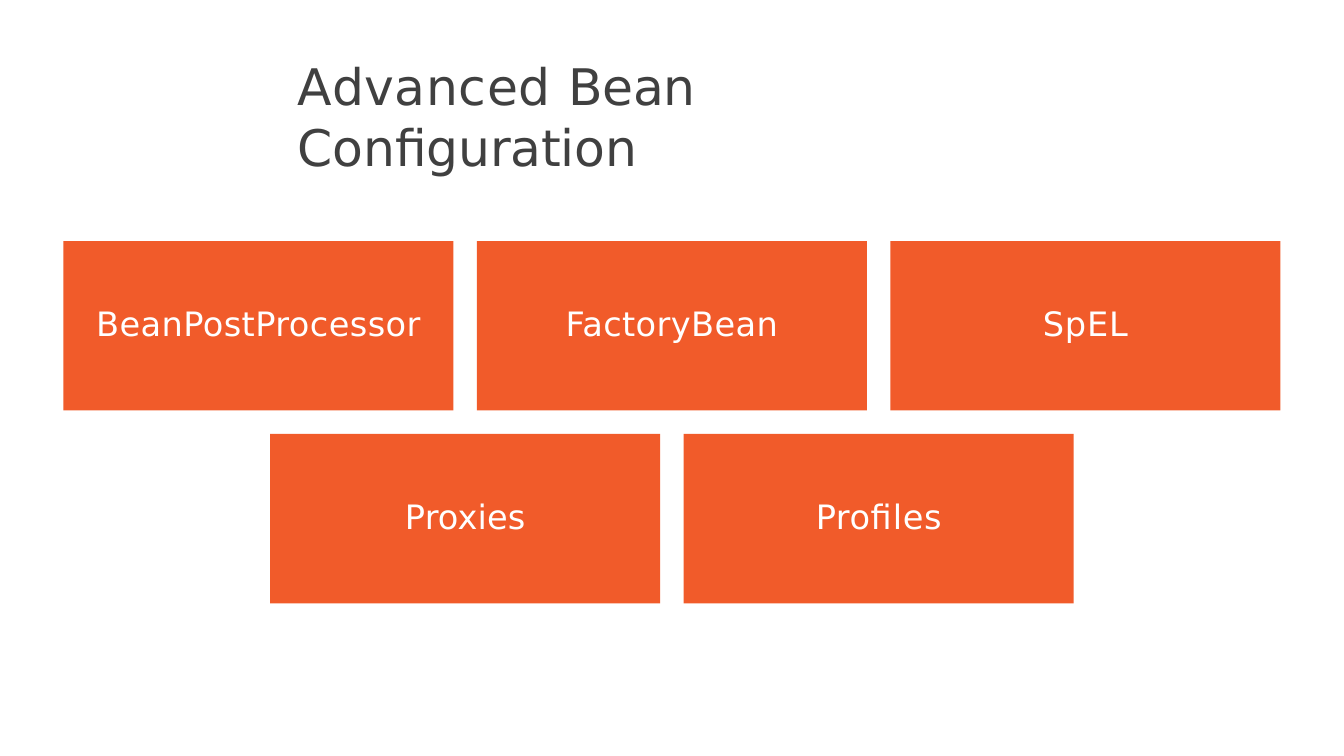
from dataclasses import dataclass

from pptx import Presentation
from pptx.dml.color import RGBColor
from pptx.enum.shapes import MSO_SHAPE
from pptx.enum.text import MSO_ANCHOR, MSO_AUTO_SIZE, PP_ALIGN
from pptx.util import Inches, Pt

RECTANGLE = MSO_SHAPE.RECTANGLE
TOP, MIDDLE = MSO_ANCHOR.TOP, MSO_ANCHOR.MIDDLE
LEFT, CENTER = PP_ALIGN.LEFT, PP_ALIGN.CENTER
NO_FIT = MSO_AUTO_SIZE.NONE
TITLE_ONLY = 5


@dataclass(frozen=True)
class Theme:
    font: str = "DejaVu Sans"
    title_size: int = 48
    topic_size: int = 32
    title_color: RGBColor = RGBColor(0x40, 0x40, 0x40)
    topic_color: RGBColor = RGBColor(0xFF, 0xFF, 0xFF)
    tile_color: RGBColor = RGBColor(0xF1, 0x5B, 0x2A)


THEME = Theme()
SLIDE_WIDTH, SLIDE_HEIGHT = 17.78, 10
TILE_WIDTH, TILE_HEIGHT = 5.16, 2.24
GAP = 0.31

# Each text comes with its letter spacing in points.
TITLE = [("Advanced ", 0.6), ("Bean ", -0.3), ("Configuration", -0.2)]
TOPIC_ROWS = [
    [("BeanPostProcessor", 0.4), ("FactoryBean", 0.4), ("SpEL", 0.8)],
    [("Proxies", 0.1), ("Profiles", 0.5)],
]


def set_frame(frame, anchor, top=0, bottom=0):
    frame.word_wrap = True
    frame.auto_size = NO_FIT
    frame.vertical_anchor = anchor
    frame.margin_left = frame.margin_right = 0
    frame.margin_top, frame.margin_bottom = Inches(top), Inches(bottom)


def add_runs(paragraph, texts, size, color):
    for text, tracking in texts:
        run = paragraph.add_run()
        run.text = text
        run.font.name = THEME.font
        run.font.size = Pt(size)
        run.font.color.rgb = color
        run._r.get_or_add_rPr().set("spc", str(round(tracking * 100)))


def add_title(slide, left, top, width, height):
    title = slide.shapes.title
    title.left, title.top = Inches(left), Inches(top)
    title.width, title.height = Inches(width), Inches(height)
    set_frame(title.text_frame, TOP, top=0.02)
    paragraph = title.text_frame.paragraphs[0]
    paragraph.alignment = LEFT
    add_runs(paragraph, TITLE, THEME.title_size, THEME.title_color)


def add_tile(slide, topic, left, top):
    tile = slide.shapes.add_shape(
        RECTANGLE, Inches(left), Inches(top), Inches(TILE_WIDTH), Inches(TILE_HEIGHT)
    )
    tile.shadow.inherit = False
    tile.fill.solid()
    tile.fill.fore_color.rgb = THEME.tile_color
    tile.line.fill.background()
    set_frame(tile.text_frame, MIDDLE, bottom=0.08)
    paragraph = tile.text_frame.paragraphs[0]
    paragraph.alignment = CENTER
    add_runs(paragraph, [topic], THEME.topic_size, THEME.topic_color)


def add_topics(slide, left, top, width):
    """Stack the rows of tiles, each row centred in the given width."""
    for row, topics in enumerate(TOPIC_ROWS):
        row_width = len(topics) * (TILE_WIDTH + GAP) - GAP
        row_left = left + (width - row_width) / 2
        row_top = top + row * (TILE_HEIGHT + GAP)
        for column, topic in enumerate(topics):
            add_tile(slide, topic, row_left + column * (TILE_WIDTH + GAP), row_top)


def main():
    presentation = Presentation()
    presentation.slide_width = Inches(SLIDE_WIDTH)
    presentation.slide_height = Inches(SLIDE_HEIGHT)
    slide = presentation.slides.add_slide(presentation.slide_layouts[TITLE_ONLY])
    add_title(slide, 3.94, 0.71, 9.88, 0.83)
    add_topics(slide, 0, 3.19, SLIDE_WIDTH)
    presentation.save("out.pptx")


if __name__ == "__main__":
    main()
